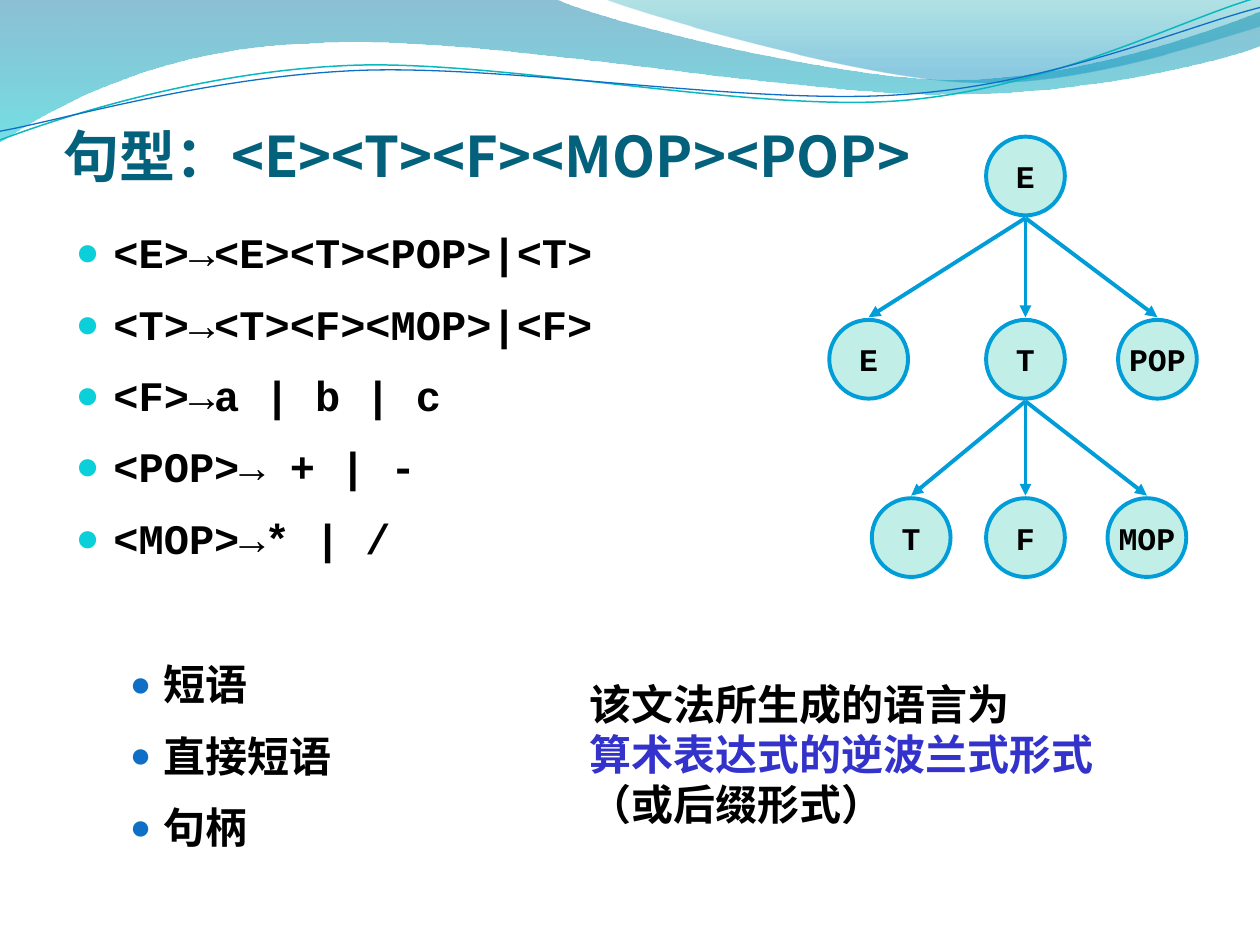
from math import cos, radians, sin

from lxml.etree import SubElement
from pptx import Presentation
from pptx.dml.color import RGBColor
from pptx.enum.shapes import MSO_CONNECTOR, MSO_SHAPE
from pptx.enum.text import MSO_ANCHOR, PP_ALIGN
from pptx.oxml.ns import qn
from pptx.util import Pt

CODE = {"name": "Courier New", "size": Pt(24), "bold": True}
LABEL = {**CODE, "size": Pt(18)}
HEADING = {"name": "Noto Sans CJK SC", "size": Pt(32), "bold": True}

BLUE = "009DD9"
NODE_SIZE = 45
ARROW_GAP = 24
TILT = -2.7

WAVES = [
    ([
        [(0, 0)],
        [(317, -0.7)],
        [(343, 12), (478, 45.4), (545.8, 45.4)],
        [(614, 45.4), (690, 18.7), (720, 6.5)],
        [(720.7, 26)],
        [(708, 31.7), (626, 54.7), (537, 54)],
        [(448, 54), (275, 20.2), (185, 24.5)],
        [(93, 26), (33, 59.8), (-0.7, 81.4)],
        [(0, 0)],
    ], [(0, "0074A1", 45), (1, "00C6CF", 55)]),
    ([
        [(345, -0.7)],
        [(366.5, 8), (491, 44.6), (553.7, 46.8)],
        [(616.3, 49.7), (692, 23), (720, 15)],
        [(720, 0)],
        [(345, -0.7)],
    ], [(0, "00A1A9", 30), (0.8, "008BBF", 45)]),
]
RIPPLES = [
    ([
        [(0, 80)],
        [(34.6, 67), (113.8, 41), (199.4, 37.4)],
        [(284.4, 33.8), (427, 64), (513.4, 57.6)],
        [(599.8, 51), (675.4, 10.8), (718.6, -1.4)],
    ], (359.3, 41.4), "0AB8BF", 0.85),
    ([
        [(0, 75)],
        [(33.8, 69), (118, 44), (203.8, 40.3)],
        [(290, 36.7), (430, 60.5), (516.2, 54)],
        [(602, 48.2), (677.5, 15), (720, 4.3)],
    ], (359.6, 42.5), "0F6FC6", 0.75),
]
RULES = ["<E>→<E><T><POP>|<T>", "<T>→<T><F><MOP>|<F>", "<F>→a | b | c",
         "<POP>→ + | -", "<MOP>→* | /"]
TERMS = ["短语", "直接短语", "句柄"]
ROOT = ("E", 586, 100.6)
SECOND_ROW = [("E", 496.4, 205.3), ("T", 586, 205.3), ("POP", 661.4, 205.3)]
THIRD_ROW = [("T", 520.7, 307.2), ("F", 586, 307.2), ("MOP", 655.4, 307.2)]
REMARK = [("该文法所生成的语言为", "000000"), ("算术表达式的逆波兰式形式", "3333CC"),
          ("（或后缀形式）", "000000")]


def colour(value):
    return RGBColor.from_string(value)


def place(shape, left, top, width, height):
    geometry = {"left": left, "top": top, "width": width, "height": height}
    for name, value in geometry.items():
        setattr(shape, name, Pt(value))


def add_span(para, text, look, ink):
    span = para.add_run()
    span.text = text
    for name, value in look.items():
        setattr(span.font, name, value)
    span.font.color.rgb = colour(ink)
    SubElement(span.font._element, qn("a:ea"), typeface=look["name"])


def set_alpha(colour_element, percent):
    SubElement(colour_element, qn("a:alpha"), val=str(percent * 1000))


def turn(point, centre, degrees):
    angle = radians(degrees)
    x, y = point[0] - centre[0], point[1] - centre[1]
    return (centre[0] + x * cos(angle) - y * sin(angle),
            centre[1] + x * sin(angle) + y * cos(angle))


def add_outline(page, segments, close):
    points = [(Pt(x), Pt(y)) for segment in segments for x, y in segment]
    builder = page.shapes.build_freeform(*points[0])
    builder.add_line_segments(points[1:], close=close)
    shape = builder.convert_to_shape()
    shape.shadow.inherit = False
    lines = shape._element.iter(qn("a:lnTo"))
    lines = iter(list(lines))
    for segment in segments[1:]:
        first, *others = [next(lines) for _ in segment]
        if others:
            first.tag_name = None
            curve = first.makeelement(qn("a:cubicBezTo"))
            first.addprevious(curve)
            for line in (first, *others):
                curve.append(line[0])
                line.getparent().remove(line)
    return shape


def add_wave(page, segments, stops):
    wave = add_outline(page, segments, True)
    wave.line.fill.background()
    wave.fill.gradient()
    wave.fill.gradient_angle = 270
    for stop, (position, value, _) in zip(wave.fill.gradient_stops, stops):
        stop.position = position
        stop.color.rgb = colour(value)
    for element, (_, _, percent) in zip(wave._element.iter(qn("a:srgbClr")), stops):
        set_alpha(element, percent)


def add_ripple(page, segments, centre, value, width):
    level = [[turn(point, centre, -TILT) for point in segment] for segment in segments]
    ripple = add_outline(page, level, False)
    ripple.rotation = TILT
    ripple.fill.background()
    ripple.line.color.rgb = colour(value)
    ripple.line.width = Pt(width)


def add_node(page, text, x, y):
    corner = Pt(x - NODE_SIZE / 2), Pt(y - NODE_SIZE / 2)
    node = page.shapes.add_shape(MSO_SHAPE.OVAL, *corner, Pt(NODE_SIZE), Pt(NODE_SIZE))
    node.shadow.inherit = False
    node.fill.solid()
    node.fill.fore_color.rgb = colour("85DFD0")
    set_alpha(next(node._element.iter(qn("a:srgbClr"))), 50)
    node.line.color.rgb = colour(BLUE)
    node.line.width = Pt(2.25)
    node.text_frame.word_wrap = False
    node.text_frame.vertical_anchor = MSO_ANCHOR.MIDDLE
    para = node.text_frame.paragraphs[0]
    para.alignment = PP_ALIGN.CENTER
    add_span(para, text, LABEL, "000000")


def add_arrow(page, parent, child):
    arrow = page.shapes.add_connector(
        MSO_CONNECTOR.STRAIGHT, Pt(parent[1]), Pt(parent[2] + ARROW_GAP),
        Pt(child[1]), Pt(child[2] - ARROW_GAP))
    arrow.line.color.rgb = colour(BLUE)
    arrow.line.width = Pt(2.25)
    SubElement(arrow.line._get_or_add_ln(), qn("a:tailEnd"), type="triangle")
    SubElement(arrow._element.spPr, qn("a:effectLst"))


def add_branches(page, parent, children):
    for child in children:
        add_node(page, *child)
        add_arrow(page, parent, child)


def fill_title(title, text):
    place(title, 36, 18, 648, 90)
    frame = title.text_frame
    frame.vertical_anchor = MSO_ANCHOR.BOTTOM
    margins = {"margin_left": 0, "margin_right": 0, "margin_top": 3.6, "margin_bottom": 0}
    for name, value in margins.items():
        setattr(frame, name, Pt(value))
    para = frame.paragraphs[0]
    para.alignment = PP_ALIGN.LEFT
    add_span(para, text, HEADING, "04617B")


def add_bullet(para, text, level, before):
    margin, indent, value, percent = [(21.6, -21.6, "0BD0D9", 95),
                                      (50.4, -19.4, "0F6FC6", 85)][level]
    para.level = level
    para.space_before = Pt(before)
    properties = para._p.get_or_add_pPr()
    properties.set("marL", str(Pt(margin)))
    properties.set("indent", str(Pt(indent)))
    SubElement(SubElement(properties, qn("a:buClr")), qn("a:srgbClr"), val=value)
    SubElement(properties, qn("a:buSzPct"), val=str(percent * 1000))
    SubElement(properties, qn("a:buChar"), char="●")
    add_span(para, text, CODE, "000000")


def fill_body(body):
    place(body, 36, 126, 648, 372)
    items = [(text, 0) for text in RULES] + [(text, 1) for text in TERMS]
    frame = body.text_frame
    for index, (text, level) in enumerate(items):
        para = frame.add_paragraph() if index else frame.paragraphs[0]
        before = {0: 0, len(RULES): 55}.get(index, 12)
        add_bullet(para, text, level, before)


def add_remark(page):
    box = page.shapes.add_textbox(Pt(330), Pt(384), Pt(330), Pt(94))
    box.text_frame.word_wrap = True
    para = box.text_frame.paragraphs[0]
    for index, (text, ink) in enumerate(REMARK):
        if index:
            para.add_line_break()
        add_span(para, text, CODE, ink)


def main():
    deck = Presentation()
    deck.slide_width, deck.slide_height = Pt(720), Pt(540)
    page = deck.slides.add_slide(deck.slide_layouts[1])
    for wave in WAVES:
        add_wave(page, *wave)
    for ripple in RIPPLES:
        add_ripple(page, *ripple)
    fill_title(page.shapes.title, "句型：<E><T><F><MOP><POP>")
    fill_body(page.placeholders[1])
    add_node(page, *ROOT)
    add_branches(page, ROOT, SECOND_ROW)
    add_branches(page, SECOND_ROW[1], THIRD_ROW)
    add_remark(page)
    deck.save("out.pptx")


if __name__ == "__main__":
    main()
